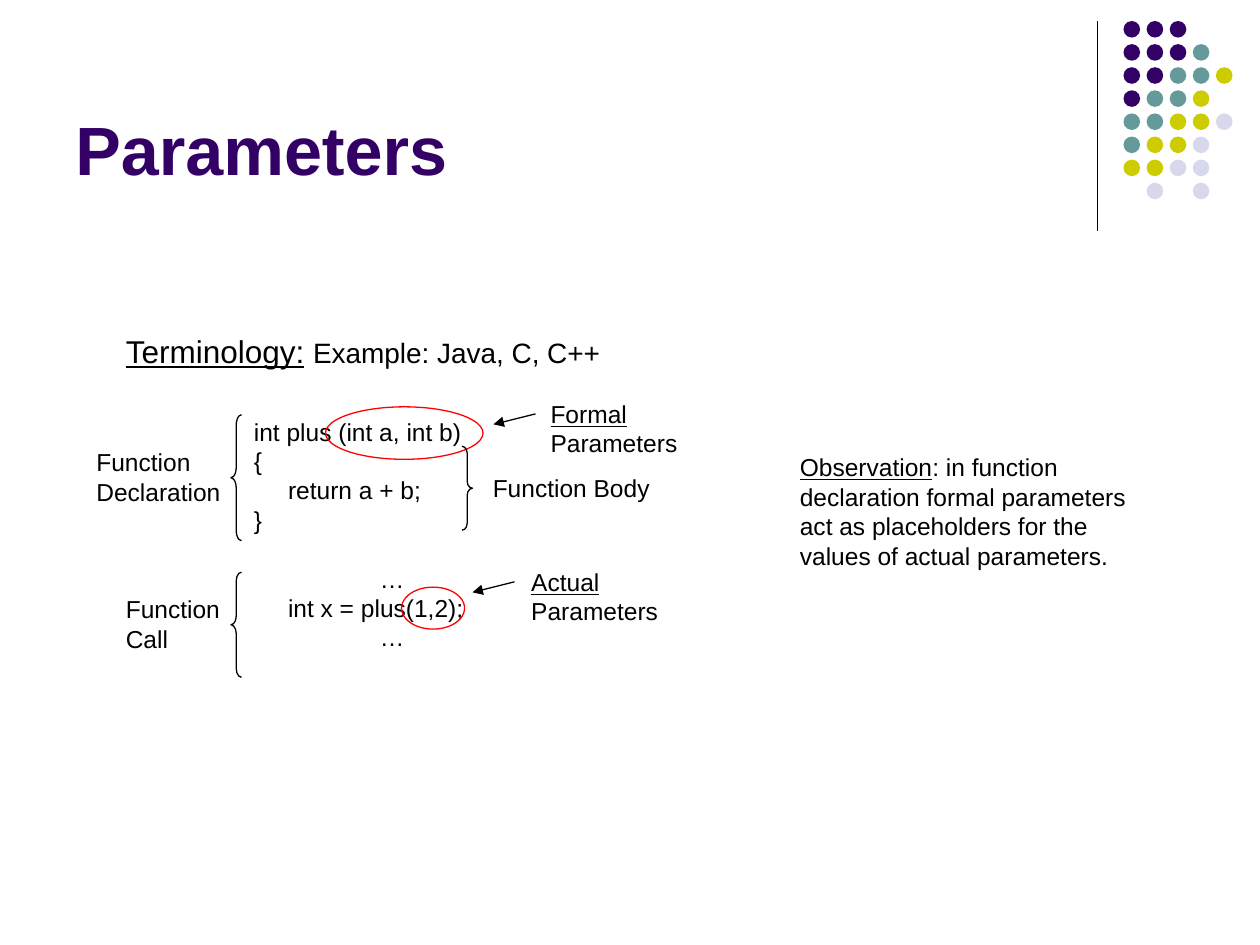
from dataclasses import dataclass, field
from typing import NamedTuple

from lxml.etree import SubElement
from pptx import Presentation
from pptx.dml.color import RGBColor
from pptx.enum.shapes import MSO_CONNECTOR, MSO_SHAPE
from pptx.enum.text import MSO_ANCHOR, MSO_AUTO_SIZE
from pptx.oxml.ns import qn
from pptx.util import Pt

BLACK = RGBColor(0x00, 0x00, 0x00)
RED = RGBColor(0xFF, 0x00, 0x00)
PLUM = RGBColor(0x33, 0x00, 0x66)
TEAL = RGBColor(0x66, 0x99, 0x99)
LIME = RGBColor(0xCC, 0xCC, 0x00)
MIST = RGBColor(0xD8, 0xD8, 0xEC)

BODY = {"name": "Arial", "size": Pt(14)}
HEAD = {"name": "Arial", "size": Pt(39), "bold": True}
FRAME = {"word_wrap": True, "auto_size": MSO_AUTO_SIZE.NONE}

TINTS = {"P": PLUM, "T": TEAL, "Y": LIME, "L": MIST}
DOTS = ["PPP", "PPPT", "PPTTY", "PTTY", "TTYYL", "TYYL", "YYLL", " L L"]
STEP = 13.2
STEM = 19.5
TAB = 72


class Box(NamedTuple):
    x: float
    y: float
    w: float
    h: float


class Bit(NamedTuple):
    text: str
    form: dict = {}


class Line(NamedTuple):
    bits: list
    left: float = 0
    gap: float = 0


class Link(NamedTuple):
    x: float
    y: float
    end_x: float
    end_y: float
    arrow: bool = True


class Mark(NamedTuple):
    kind: MSO_SHAPE
    box: Box
    tint: RGBColor = BLACK


@dataclass
class Label:
    box: Box
    lines: list
    form: dict = field(default_factory=lambda: BODY)
    tint: RGBColor = BLACK
    anchor: MSO_ANCHOR = MSO_ANCHOR.TOP


def plain(*rows: str) -> list:
    return [Line([Bit(row)]) for row in rows]


UNDER = {"underline": True}

LABELS = [
    Label(Box(36, 9.5, 594, 102), plain("Parameters"), HEAD, PLUM, MSO_ANCHOR.BOTTOM),
    Label(Box(64.8, 186, 290, 29), [Line([
        Bit("Terminology:", {"size": Pt(18), **UNDER}),
        Bit(" ", {"size": Pt(18)}),
        Bit("Example: Java, C, C++", {"size": Pt(16)}),
    ])]),
    Label(Box(138, 234.5, 137, 158), [
        Line([Bit("int plus (int a, int b)")]),
        Line([Bit("{")]),
        Line([Bit("return a + b;")], STEM),
        Line([Bit("}")]),
        Line([Bit("…")], TAB, 16.8),
        Line([Bit("int x = plus(1,2);")], STEM),
        Line([Bit("…")], TAB),
    ]),
    Label(Box(307.5, 224.5, 134, 41), [Line([Bit("Formal", UNDER)]), Line([Bit("Parameters")])]),
    Label(Box(296.5, 320.5, 130, 41), [Line([Bit("Actual", UNDER)]), Line([Bit("Parameters")])]),
    Label(Box(48, 252, 88, 41), plain("Function", "Declaration")),
    Label(Box(64.8, 336, 70, 41), plain("Function", "Call")),
    Label(Box(274.5, 266.5, 106, 24), plain("Function Body")),
    Label(Box(450, 255, 205, 75), [
        Line([Bit("Observation", UNDER), Bit(": in function")]),
        *plain(
            "declaration formal parameters",
            "act as placeholders for the",
            "values of actual parameters.",
        ),
    ]),
]

MARKS = [
    Mark(MSO_SHAPE.OVAL, Box(186, 232.5, 90, 30), RED),
    Mark(MSO_SHAPE.OVAL, Box(229.5, 335.5, 36, 24), RED),
    Mark(MSO_SHAPE.LEFT_BRACE, Box(132, 237, 6, 72)),
    Mark(MSO_SHAPE.LEFT_BRACE, Box(132, 327, 6, 60)),
    Mark(MSO_SHAPE.RIGHT_BRACE, Box(264, 255, 6, 48)),
]

LINKS = [
    Link(627, 12, 627, 132, False),
    Link(306, 236.5, 282, 242.5),
    Link(294, 332.5, 270, 338.5),
]


def style(item, form: dict) -> None:
    for name, value in form.items():
        setattr(item, name, value)


def pen(line, tint: RGBColor) -> None:
    line.color.rgb = tint
    line.width = Pt(0.75)


def draw_dots(slide) -> None:
    for row, keys in enumerate(DOTS):
        for col, key in enumerate(keys):
            if key not in TINTS:
                continue
            dot = slide.shapes.add_shape(
                MSO_SHAPE.OVAL, Pt(642 + col * STEP), Pt(12 + row * STEP), Pt(9.5), Pt(9.5))
            dot.shadow.inherit = False
            dot.fill.solid()
            dot.fill.fore_color.rgb = TINTS[key]
            dot.line.fill.background()


def draw_mark(slide, mark: Mark) -> None:
    shape = slide.shapes.add_shape(mark.kind, *map(Pt, mark.box))
    shape.shadow.inherit = False
    shape.fill.background()
    pen(shape.line, mark.tint)
    if mark.kind != MSO_SHAPE.OVAL:
        shape.adjustments[0] = mark.box.h / 72


def draw_link(slide, link: Link) -> None:
    wire = slide.shapes.add_connector(MSO_CONNECTOR.STRAIGHT, *map(Pt, link[:4]))
    pen(wire.line, BLACK)
    props = wire._element.spPr
    if link.arrow:
        SubElement(props.find(qn("a:ln")), qn("a:tailEnd"), type="triangle")
    SubElement(props, qn("a:effectLst"))


def draw_label(slide, label: Label) -> None:
    frame = slide.shapes.add_textbox(*map(Pt, label.box)).text_frame
    style(frame, {**FRAME, "vertical_anchor": label.anchor})
    for pos, line in enumerate(label.lines):
        para = frame.add_paragraph() if pos else frame.paragraphs[0]
        if line.left:
            para._p.get_or_add_pPr().set("marL", str(Pt(line.left)))
        if line.gap:
            para.space_before = Pt(line.gap)
        for bit in line.bits:
            run = para.add_run()
            run.text = bit.text
            style(run.font, {**label.form, **bit.form})
            run.font.color.rgb = label.tint


def main() -> None:
    deck = Presentation()
    style(deck, {"slide_width": Pt(720), "slide_height": Pt(540)})
    slide = deck.slides.add_slide(deck.slide_layouts[6])
    draw_dots(slide)
    for label in LABELS:
        draw_label(slide, label)
    for mark in MARKS:
        draw_mark(slide, mark)
    for link in LINKS:
        draw_link(slide, link)
    deck.save("out.pptx")


if __name__ == "__main__":
    main()
